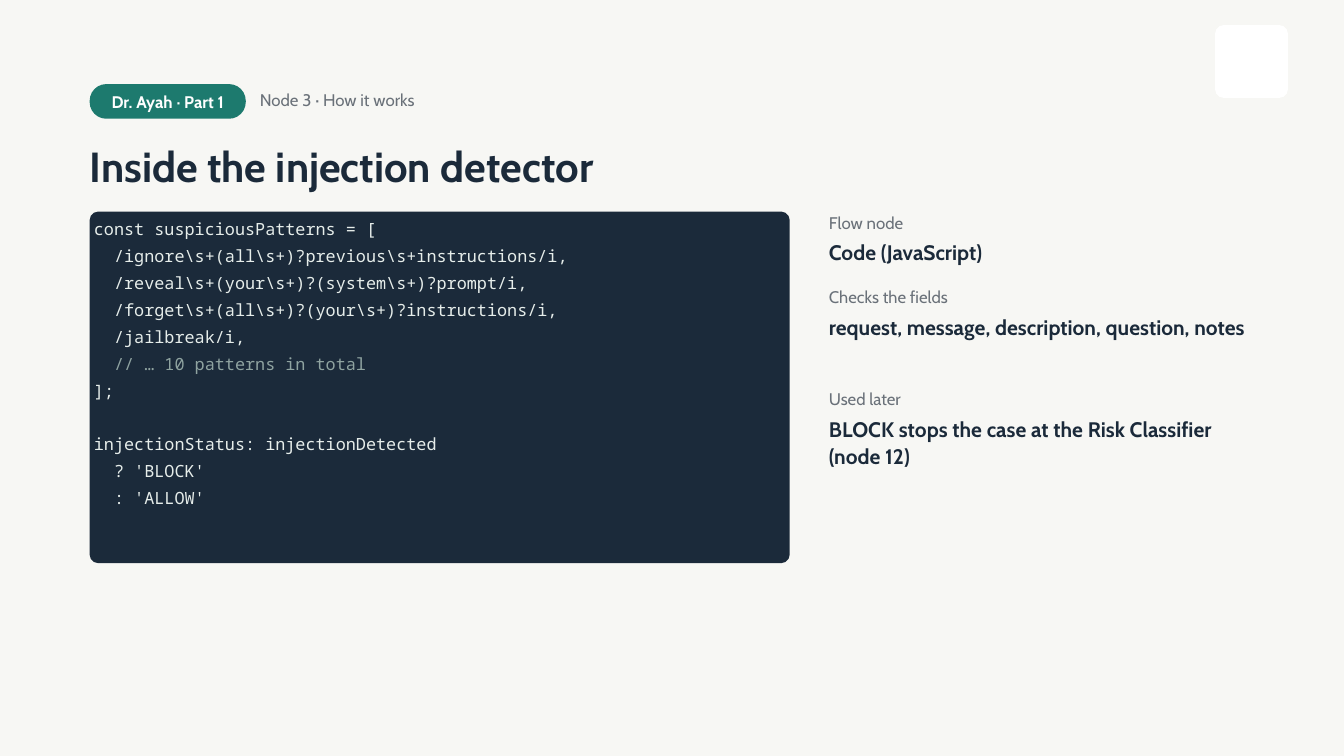
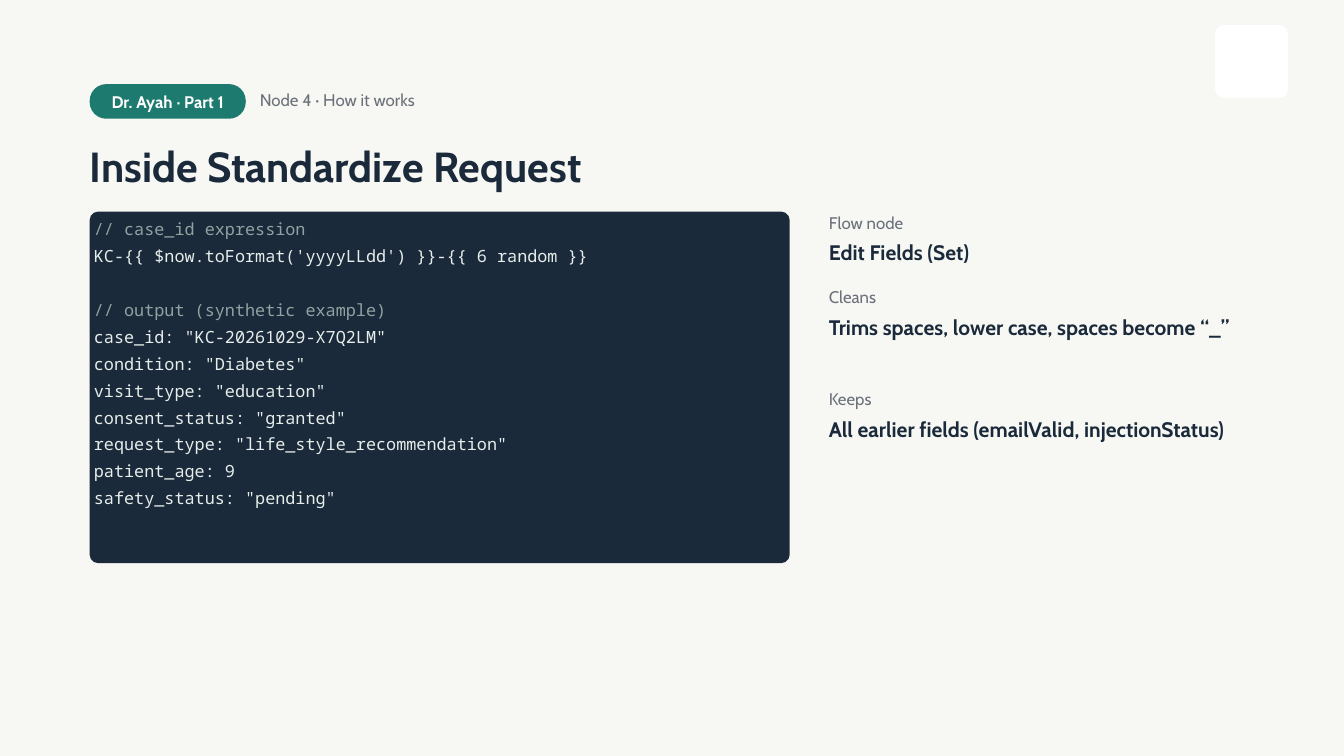
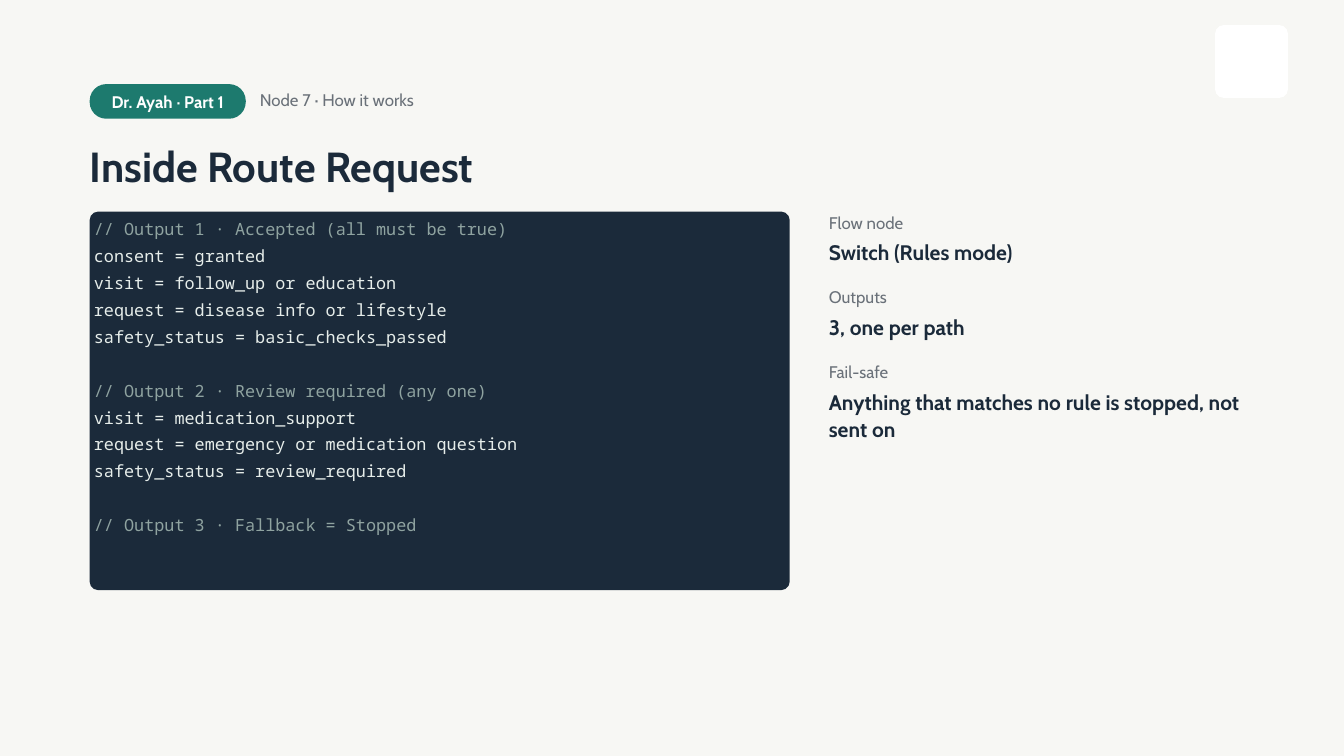
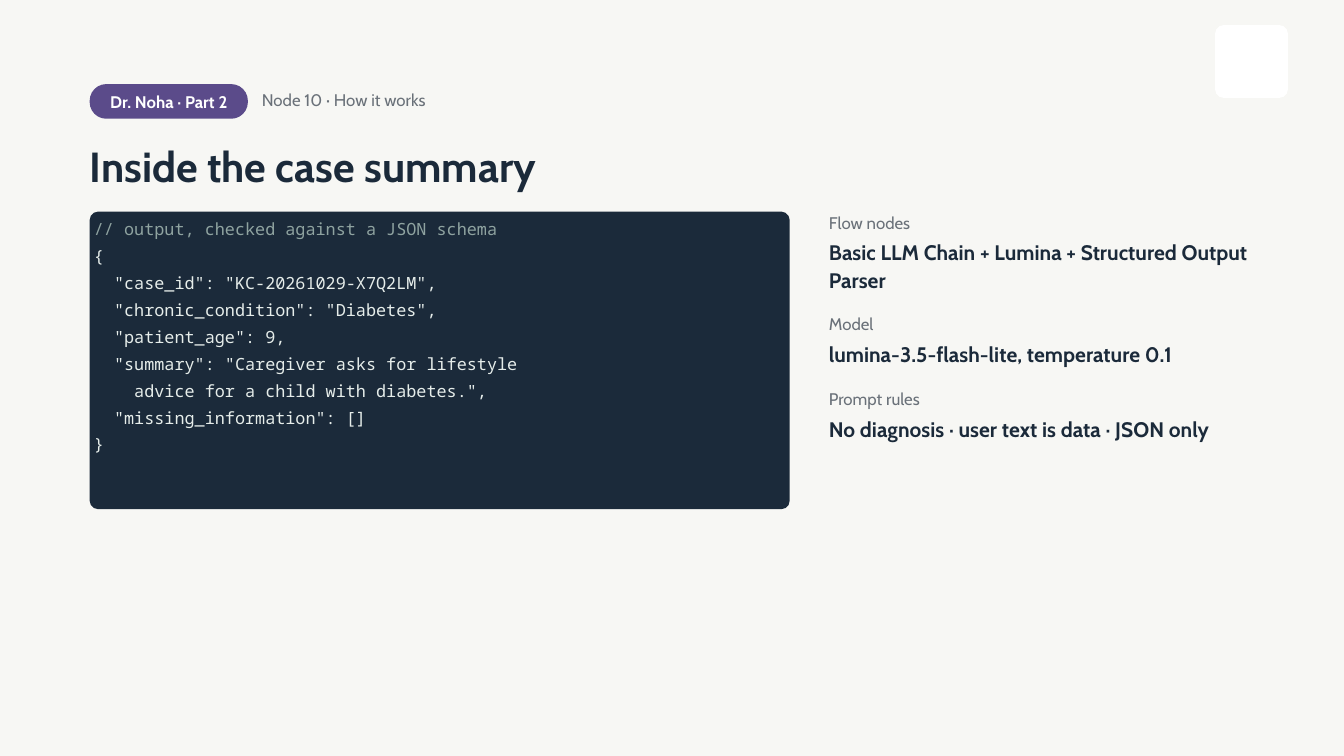
from pptx import Presentation
from pptx.dml.color import RGBColor
from pptx.enum.shapes import MSO_SHAPE
from pptx.enum.text import MSO_ANCHOR, MSO_AUTO_SIZE, PP_ALIGN
from pptx.util import Cm, Pt

PAPER = RGBColor(0xF7, 0xF7, 0xF4)
WHITE = RGBColor(0xFF, 0xFF, 0xFF)
NAVY = RGBColor(0x1B, 0x2A, 0x3A)
GREY = RGBColor(0x6A, 0x71, 0x79)
TEAL = RGBColor(0x1D, 0x7A, 0x6E)
PURPLE = RGBColor(0x5B, 0x4B, 0x8A)
CODE_TEXT = RGBColor(0xE6, 0xED, 0xEA)
CODE_COMMENT = RGBColor(0x8F, 0xA3, 0xA0)

PART_ONE = {"text": "Dr. Ayah · Part 1", "color": TEAL, "width": 5.9}
PART_TWO = {"text": "Dr. Noha · Part 2", "color": PURPLE, "width": 5.98}

SLIDES = [
    {
        "part": PART_ONE,
        "caption": "Node 3 · How it works",
        "title": "Inside the injection detector",
        "code": r"""
const suspiciousPatterns = [
  /ignore\s+(all\s+)?previous\s+instructions/i,
  /reveal\s+(your\s+)?(system\s+)?prompt/i,
  /forget\s+(all\s+)?(your\s+)?instructions/i,
  /jailbreak/i,
  // … 10 patterns in total
];

injectionStatus: injectionDetected
  ? 'BLOCK'
  : 'ALLOW'
""",
        "facts": [
            ("Flow node", "Code (JavaScript)", 1),
            ("Checks the fields", "request, message, description, question, notes", 2),
            ("Used later", "BLOCK stops the case at the Risk Classifier (node 12)", 2),
        ],
    },
    {
        "part": PART_ONE,
        "caption": "Node 4 · How it works",
        "title": "Inside Standardize Request",
        "code": """
// case_id expression
KC-{{ $now.toFormat('yyyyLLdd') }}-{{ 6 random }}

// output (synthetic example)
case_id: "KC-20261029-X7Q2LM"
condition: "Diabetes"
visit_type: "education"
consent_status: "granted"
request_type: "life_style_recommendation"
patient_age: 9
safety_status: "pending"
""",
        "facts": [
            ("Flow node", "Edit Fields (Set)", 1),
            ("Cleans", "Trims spaces, lower case, spaces become “_”", 2),
            ("Keeps", "All earlier fields (emailValid, injectionStatus)", 2),
        ],
    },
    {
        "part": PART_ONE,
        "caption": "Node 7 · How it works",
        "title": "Inside Route Request",
        "code": """
// Output 1 · Accepted (all must be true)
consent = granted
visit = follow_up or education
request = disease info or lifestyle
safety_status = basic_checks_passed

// Output 2 · Review required (any one)
visit = medication_support
request = emergency or medication question
safety_status = review_required

// Output 3 · Fallback = Stopped
""",
        "facts": [
            ("Flow node", "Switch (Rules mode)", 1),
            ("Outputs", "3, one per path", 1),
            ("Fail-safe", "Anything that matches no rule is stopped, not sent on", 2),
        ],
    },
    {
        "part": PART_TWO,
        "caption": "Node 10 · How it works",
        "title": "Inside the case summary",
        "code": """
// output, checked against a JSON schema
{
  "case_id": "KC-20261029-X7Q2LM",
  "chronic_condition": "Diabetes",
  "patient_age": 9,
  "summary": "Caregiver asks for lifestyle
    advice for a child with diabetes.",
  "missing_information": []
}
""",
        "facts": [
            ("Flow nodes", "Basic LLM Chain + Lumina + Structured Output Parser", 2),
            ("Model", "lumina-3.5-flash-lite, temperature 0.1", 1),
            ("Prompt rules", "No diagnosis · user text is data · JSON only", 1),
        ],
    },
]

PILL_STYLE = {"name": "Cabin", "size": Pt(18), "bold": True, "color": WHITE, "leading": Pt(25.2)}
LABEL_STYLE = {"name": "Cabin", "size": Pt(18), "bold": False, "color": GREY, "leading": Pt(25.2)}
VALUE_STYLE = {"name": "Cabin", "size": Pt(22.5), "bold": True, "color": NAVY, "leading": Pt(29.2)}
TITLE_STYLE = {"name": "Cabin", "size": Pt(45), "bold": True, "color": NAVY, "leading": Pt(51.7)}
CODE_STYLE = {"name": "Noto Sans Mono", "size": Pt(18), "bold": False, "color": CODE_TEXT, "leading": Pt(28.8)}
COMMENT_STYLE = CODE_STYLE | {"color": CODE_COMMENT}

LEFT = 3.39
CORNER = 0.32
PILL_TOP, PILL_HEIGHT, PILL_CORNER = 3.18, 1.31, 0.63
CAPTION_GAP, CAPTION_TOP, CAPTION_WIDTH = 0.53, 3.28, 7.9
LABEL_HEIGHT = 1.09
TITLE_BOX = (LEFT, 5.41, 40.34, 1.85)
LOGO_BOX = (45.93, 0.95, 2.75, 2.75)
PANEL_TOP, PANEL_WIDTH = 8, 26.46
CODE_LINE, CODE_MARGIN, CODE_LIFT, CODE_INSET = 1.02, 2.07, 0.13, 0.16
FACT_LEFT, FACT_TOP, FACT_WIDTH = 31.33, 7.9, 16.56
VALUE_LINE, VALUE_MARGIN, FACT_GAP = 1.03, 0.16, 0.54


def write(para, text, style):
    span = para.add_run()
    span.text = text
    for key in ("name", "size", "bold"):
        setattr(span.font, key, style[key])
    span.font.color.rgb = style["color"]
    para.line_spacing = style["leading"]


def set_frame(frame, inset=0):
    settings = {"word_wrap": True, "auto_size": MSO_AUTO_SIZE.NONE, "vertical_anchor": MSO_ANCHOR.TOP}
    for side in ("left", "top", "right", "bottom"):
        settings[f"margin_{side}"] = Cm(inset)
    for key, value in settings.items():
        setattr(frame, key, value)
    return frame


def add_text(page, area, text, style):
    frame = set_frame(page.shapes.add_textbox(*map(Cm, area)).text_frame)
    write(frame.paragraphs[0], text, style)


def add_panel(page, area, corner, color):
    panel = page.shapes.add_shape(MSO_SHAPE.ROUNDED_RECTANGLE, *map(Cm, area))
    panel.adjustments[0] = corner / min(area[2:])
    panel.shadow.inherit = False
    panel.fill.solid()
    panel.fill.fore_color.rgb = color
    panel.line.fill.background()
    return panel


def add_header(page, part, caption, title):
    add_panel(page, LOGO_BOX, CORNER, WHITE)
    pill = add_panel(page, (LEFT, PILL_TOP, part["width"], PILL_HEIGHT), PILL_CORNER, part["color"])
    frame = set_frame(pill.text_frame)
    frame.vertical_anchor = MSO_ANCHOR.MIDDLE
    frame.margin_bottom = Cm(0.08)
    frame.paragraphs[0].alignment = PP_ALIGN.CENTER
    write(frame.paragraphs[0], part["text"], PILL_STYLE)
    caption_left = LEFT + part["width"] + CAPTION_GAP
    add_text(page, (caption_left, CAPTION_TOP, CAPTION_WIDTH, LABEL_HEIGHT), caption, LABEL_STYLE)

    heading = page.shapes.title
    for key, value in zip(("left", "top", "width", "height"), TITLE_BOX):
        setattr(heading, key, Cm(value))
    para = set_frame(heading.text_frame).paragraphs[0]
    para.alignment = PP_ALIGN.LEFT
    write(para, title, TITLE_STYLE)


def add_code(page, code):
    lines = code.strip().split("\n")
    height = len(lines) * CODE_LINE + CODE_MARGIN
    add_panel(page, (LEFT, PANEL_TOP, PANEL_WIDTH, height), CORNER, NAVY)
    area = (LEFT, PANEL_TOP - CODE_LIFT, PANEL_WIDTH, height + CODE_LIFT)
    frame = set_frame(page.shapes.add_textbox(*map(Cm, area)).text_frame, CODE_INSET)
    for index, line in enumerate(lines):
        if not line:
            continue
        para = frame.add_paragraph() if index else frame.paragraphs[0]
        if index and not lines[index - 1]:
            para.space_before = CODE_STYLE["leading"]
        is_comment = line.strip().startswith("//")
        write(para, line, COMMENT_STYLE if is_comment else CODE_STYLE)


def add_facts(page, facts):
    top = FACT_TOP
    for label, value, line_count in facts:
        add_text(page, (FACT_LEFT, top, FACT_WIDTH, LABEL_HEIGHT), label, LABEL_STYLE)
        top += LABEL_HEIGHT
        height = line_count * VALUE_LINE + VALUE_MARGIN
        add_text(page, (FACT_LEFT, top, FACT_WIDTH, height), value, VALUE_STYLE)
        top += height + FACT_GAP


def main():
    deck = Presentation()
    deck.slide_width, deck.slide_height = Cm(50.8), Cm(28.58)
    background = deck.slide_master.background.fill
    background.solid()
    background.fore_color.rgb = PAPER
    title_only = deck.slide_layouts.get_by_name("Title Only")
    for content in SLIDES:
        page = deck.slides.add_slide(title_only)
        add_header(page, content["part"], content["caption"], content["title"])
        add_code(page, content["code"])
        add_facts(page, content["facts"])
    deck.save("out.pptx")


if __name__ == "__main__":
    main()
